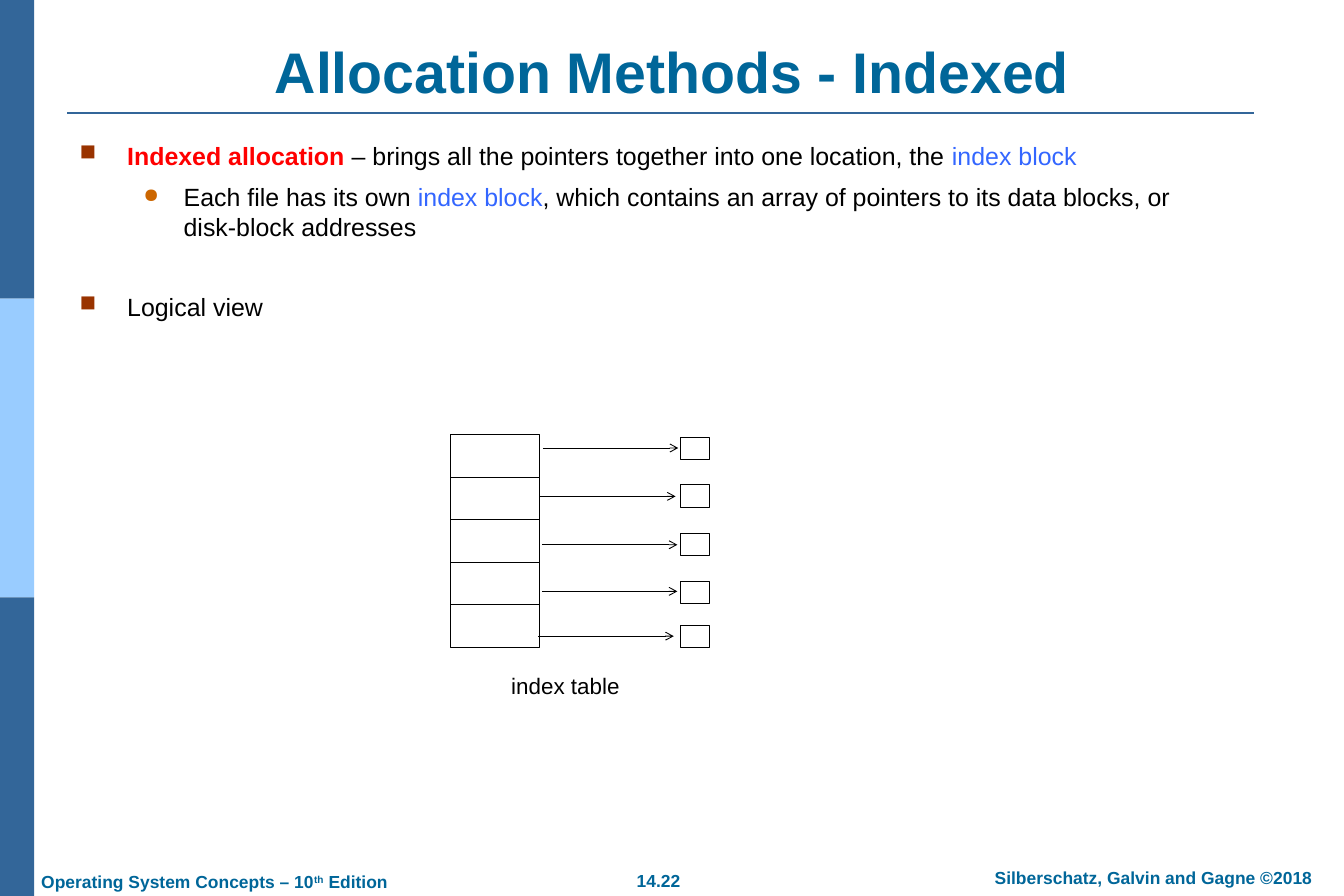
from dataclasses import dataclass
from typing import Optional

from lxml import etree
from pptx import Presentation
from pptx import util as u
from pptx.dml.color import RGBColor
from pptx.enum import shapes, text
from pptx.oxml import ns


@dataclass(frozen=True)
class Theme:
    """Font, colours and type sizes of the slide."""
    font: str = "Arial"
    heading: str = "006699"
    band: str = "336699"
    band_light: str = "99CCFF"
    ink: str = "000000"
    paper: str = "FFFFFF"
    term: str = "FF0000"
    accent: str = "3366FF"
    square: str = "993300"
    dot: str = "CC6600"
    title_size: float = 46
    body_size: float = 20
    caption_size: float = 18
    footer_size: float = 14


THEME = Theme()


@dataclass(frozen=True)
class Span:
    """A stretch of text with its own look."""
    words: str
    color: Optional[str] = None
    bold: Optional[bool] = None
    raised: bool = False


@dataclass(frozen=True)
class Bullet:
    """A bullet character with its colour, size and indents."""
    char: str
    color: str
    percent: int
    margin: float
    hang: float
    level: int


@dataclass(frozen=True)
class Item:
    """A bulleted paragraph."""
    bullet: Bullet
    spans: tuple[Span, ...]
    before: float = 0


@dataclass(frozen=True)
class Label:
    """A single-line text box."""
    spans: tuple[Span, ...]
    box: tuple[float, float, float, float]
    size: float
    color: str = THEME.heading
    bold: bool = True
    align: text.PP_ALIGN = text.PP_ALIGN.CENTER
    anchor: text.MSO_ANCHOR = text.MSO_ANCHOR.TOP


@dataclass(frozen=True)
class Pointer:
    """An arrow from the index table to a data block."""
    left: float
    y: float
    block_top: float


SQUARE = Bullet("■", THEME.square, 90, 0.53, 0.53, 0)
DOT = Bullet("●", THEME.dot, 80, 1.16, 0.45, 1)

ITEMS = (
    Item(SQUARE, (
        Span("Indexed allocation ", THEME.term, True),
        Span("– brings all the pointers together into one location, the", THEME.ink),
        Span(" index block", THEME.accent))),
    Item(DOT, (
        Span("Each file has its own ", THEME.ink),
        Span("index block", THEME.accent),
        Span(", which contains an array of pointers to its data blocks, "
             "or disk-block addresses", THEME.ink)), 8.8),
    Item(SQUARE, (Span("Logical view", THEME.ink),), 40.6),
)

LABELS = (
    Label((Span("Allocation Methods - Indexed"),), (0.75, 0.4, 13.5, 0.84),
          THEME.title_size, anchor=text.MSO_ANCHOR.BOTTOM),
    Label((Span("14.22"),), (6.6, 9.64, 1.5, 0.38), THEME.footer_size),
    Label((Span("Silberschatz, Galvin and Gagne ©2018"),),
          (10.65, 9.61, 4.45, 0.38), THEME.footer_size),
    Label((Span("Operating System Concepts – 10"), Span("th", raised=True),
           Span(" Edition")),
          (0.32, 9.65, 4.21, 0.38), THEME.footer_size, align=text.PP_ALIGN.LEFT),
    Label((Span("index table"),), (5.56, 7.43, 1.5, 0.44), THEME.caption_size,
          THEME.ink, False, anchor=text.MSO_ANCHOR.MIDDLE),
)

POINTERS = (
    Pointer(6.06, 5, 4.88),
    Pointer(6.03, 5.54, 5.41),
    Pointer(6.05, 6.08, 5.95),
    Pointer(6.05, 6.6, 6.49),
    Pointer(6.01, 7.1, 6.98),
)


def add_rect(s, box: tuple, fill: str, line: Optional[str] = None) -> None:
    """Draw a filled rectangle, outlined if a line colour is given."""
    sp = s.shapes.add_shape(shapes.MSO_SHAPE.RECTANGLE, *map(u.Inches, box))
    sp.shadow.inherit = False
    sp.fill.solid()
    sp.fill.fore_color.rgb = RGBColor.from_string(fill)
    if line:
        sp.line.color.rgb = RGBColor.from_string(line)
        sp.line.width = u.Pt(0.75)
    else:
        sp.line.fill.background()


def add_line(s, left: float, right: float, y: float, color: str,
             width: float, arrow: bool = False) -> None:
    """Draw a horizontal line, with an arrowhead on the right if asked."""
    sp = s.shapes.add_connector(shapes.MSO_CONNECTOR.STRAIGHT,
                                *map(u.Inches, (left, y, right, y)))
    sp.line.color.rgb = RGBColor.from_string(color)
    sp.line.width = u.Pt(width)
    if arrow:
        etree.SubElement(sp.line._get_or_add_ln(), ns.qn("a:tailEnd"), type="arrow")
    etree.SubElement(sp._element.spPr, ns.qn("a:effectLst"))


def add_frame(s, box: tuple, anchor: text.MSO_ANCHOR):
    """Add a wrapping text box and return its text frame."""
    tf = s.shapes.add_textbox(*map(u.Inches, box)).text_frame
    tf.word_wrap = True
    tf.vertical_anchor = anchor
    tf.margin_left = tf.margin_right = u.Inches(0.14)
    tf.margin_top = tf.margin_bottom = u.Inches(0.07)
    return tf


def add_spans(p, spans: tuple[Span, ...]) -> None:
    """Add the runs of a paragraph."""
    for span in spans:
        r = p.add_run()
        r.text = span.words
        if span.color:
            r.font.color.rgb = RGBColor.from_string(span.color)
        if span.bold is not None:
            r.font.bold = span.bold
        if span.raised:
            r._r.get_or_add_rPr().set("baseline", "30000")


def add_label(s, label: Label) -> None:
    """Draw a single-line text box."""
    p = add_frame(s, label.box, label.anchor).paragraphs[0]
    p.alignment = label.align
    p.font.name, p.font.size, p.font.bold = THEME.font, u.Pt(label.size), label.bold
    p.font.color.rgb = RGBColor.from_string(label.color)
    add_spans(p, label.spans)


def set_bullet(p, bullet: Bullet) -> None:
    """Give a paragraph its bullet and indents."""
    p.level = bullet.level
    props = p._p.get_or_add_pPr()
    props.set("marL", str(u.Inches(bullet.margin)))
    props.set("indent", str(-u.Inches(bullet.hang)))
    color = etree.SubElement(props, ns.qn("a:buClr"))
    etree.SubElement(color, ns.qn("a:srgbClr"), val=bullet.color)
    etree.SubElement(props, ns.qn("a:buSzPct"), val=str(bullet.percent * 1000))
    etree.SubElement(props, ns.qn("a:buChar"), char=bullet.char)


def add_items(s, items: tuple[Item, ...]) -> None:
    """Draw the bulleted body text."""
    tf = add_frame(s, (0.75, 1.5, 12.64, 2.29), text.MSO_ANCHOR.TOP)
    for i, item in enumerate(items):
        p = tf.add_paragraph() if i else tf.paragraphs[0]
        set_bullet(p, item.bullet)
        p.space_before = u.Pt(item.before)
        p.font.name, p.font.size = THEME.font, u.Pt(THEME.body_size)
        add_spans(p, item.spans)


def main() -> None:
    """Build the slide and save it."""
    prs = Presentation()
    prs.slide_width, prs.slide_height = u.Inches(15), u.Inches(10)
    s = prs.slides.add_slide(prs.slide_layouts[6])
    for i, fill in enumerate((THEME.band, THEME.band_light, THEME.band)):
        add_rect(s, (0, i * 10 / 3, 0.38, 10 / 3), fill)
    add_line(s, 0.75, 14, 1.26, THEME.band, 1.5)
    add_items(s, ITEMS)
    for i, pointer in enumerate(POINTERS):
        add_rect(s, (5.03, 4.85 + i * 0.475, 0.99, 0.48), THEME.paper, THEME.ink)
        add_rect(s, (7.59, pointer.block_top, 0.33, 0.25), THEME.paper, THEME.ink)
    for pointer in POINTERS:
        add_line(s, pointer.left, pointer.left + 1.51, pointer.y, THEME.ink, 0.75, True)
    for label in LABELS:
        add_label(s, label)
    prs.save("out.pptx")


if __name__ == "__main__":
    main()
